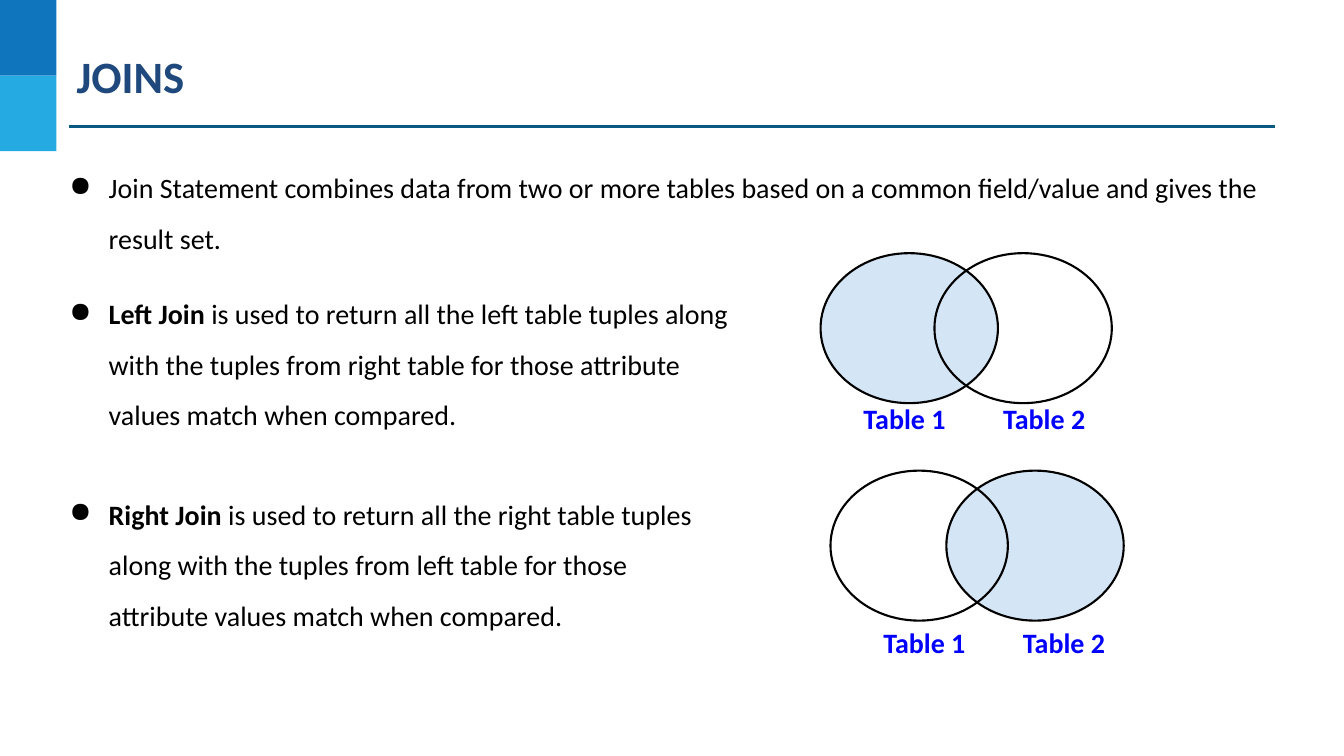
import pptx
import pptx.util
import pptx.dml.color
import pptx.enum.shapes
import pptx.enum.text
import pptx.oxml.ns
import lxml.etree

Cm = pptx.util.Cm
Pt = pptx.util.Pt
SHAPE = pptx.enum.shapes.MSO_SHAPE

COLOURS = {
    "dark strip": "0F75BD",
    "light strip": "25AAE2",
    "rule": "095A82",
    "title": "1F497D",
    "text": "000000",
    "label": "0000FF",
    "set": "D4E5F5",
}

BULLETS = [
    ((1.22, 3.63, 30.89, 2.64), "",
     "Join Statement combines data from two or more tables based on a common "
     "field/value and gives the result set."),
    ((1.22, 6.81, 17.63, 3.94), "Left Join",
     " is used to return all the left table tuples along with the tuples from "
     "right table for those attribute values match when compared."),
    ((1.22, 11.86, 16.89, 3.94), "Right Join",
     " is used to return all the right table tuples along with the tuples from "
     "left table for those attribute values match when compared."),
]

VENNS = [
    ((20.68, 6.38, 7.34, 3.78), 0, (0.38, 3.48)),
    ((20.93, 11.86, 7.39, 3.78), 1, (0.63, 3.66)),
]


def colour(name):
    return pptx.dml.color.RGBColor.from_string(COLOURS[name])


def apply_format(target, values):
    for name, value in values.items():
        setattr(target, name, value)


def add_element(parent, tag, **attributes):
    name = pptx.oxml.ns.qn(tag)
    return lxml.etree.SubElement(parent, name, attributes)


def format_frame(frame, inset):
    apply_format(frame, {
        "word_wrap": True,
        "auto_size": pptx.enum.text.MSO_AUTO_SIZE.NONE,
        "vertical_anchor": pptx.enum.text.MSO_ANCHOR.TOP,
        "margin_left": Cm(inset),
        "margin_right": Cm(inset),
        "margin_top": Cm(inset),
        "margin_bottom": Cm(inset),
    })


def add_span(para, text, size, colour_name, bold):
    span = para.add_run()
    span.text = text
    apply_format(span.font, {"name": "Calibri", "size": Pt(size), "bold": bold})
    span.font.color.rgb = colour(colour_name)


def add_text_box(page, box):
    text_box = page.shapes.add_textbox(*map(Cm, box))
    format_frame(text_box.text_frame, 0.25)
    return text_box.text_frame


def add_plain_shape(page, kind, box, fill=None, line=None):
    shape = page.shapes.add_shape(kind, *map(Cm, box))
    shape.shadow.inherit = False
    if fill:
        shape.fill.solid()
        shape.fill.fore_color.rgb = colour(fill)
    else:
        shape.fill.background()
    if line:
        shape.line.color.rgb = colour(line)
        shape.line.width = Pt(1.5)
    else:
        shape.line.fill.background()


def add_header(page, box):
    left, top, width, height = box
    strip_width, strip_height = 1.42, height / 2
    for row, name in enumerate(("dark strip", "light strip")):
        strip = (left, top + row * strip_height, strip_width, strip_height)
        add_plain_shape(page, SHAPE.RECTANGLE, strip, name)

    rule_y = top + 3.18
    rule = page.shapes.add_connector(
        pptx.enum.shapes.MSO_CONNECTOR.STRAIGHT,
        Cm(left + 1.73), Cm(rule_y), Cm(left + width - 1.74), Cm(rule_y))
    rule.line.color.rgb = colour("rule")
    rule.line.width = Pt(2.25)
    add_element(rule._element.spPr, "a:effectLst")

    title = page.shapes.title
    apply_format(title, {
        "left": Cm(left + 1.88),
        "top": Cm(top + 1.17),
        "width": Cm(30.4),
        "height": Cm(1.47),
    })
    format_frame(title.text_frame, 0.05)
    para = title.text_frame.paragraphs[0]
    para.alignment = pptx.enum.text.PP_ALIGN.LEFT
    add_span(para, "JOINS", 32, "title", True)


def add_bullet(page, box, term, text):
    para = add_text_box(page, box).paragraphs[0]
    para.line_spacing = 1.5
    properties = para._p.get_or_add_pPr()
    properties.set("marL", str(Cm(1.27)))
    properties.set("indent", str(Cm(-0.99)))
    bullet_colour = add_element(properties, "a:buClr")
    add_element(bullet_colour, "a:srgbClr", val=COLOURS["text"])
    add_element(properties, "a:buChar", char="●")
    if term:
        add_span(para, term, 20, "text", True)
    add_span(para, text, 20, "text", False)


def add_venn(page, box, filled_side, label_offset):
    left, top, width, height = box
    circle_width = 4.47
    lefts = (left, left + width - circle_width)
    for side, fill in ((filled_side, "set"), (1 - filled_side, None)):
        circle = (lefts[side], top, circle_width, height)
        add_plain_shape(page, SHAPE.OVAL, circle, fill, "text")

    across, down = label_offset
    frame = add_text_box(page, (left + across, top + down, 8.4, 1.37))
    frame.margin_left = Cm(0.7)
    para = frame.paragraphs[0]
    tabs = add_element(para._p.get_or_add_pPr(), "a:tabLst")
    add_element(tabs, "a:tab", pos=str(Cm(3.52)), algn="l")
    add_span(para, "Table 1\tTable 2", 20, "label", True)


def add_joins_page(deck):
    page = deck.slides.add_slide(deck.slide_layouts[5])
    add_header(page, (0, 0, 33.87, 3.81))
    for box, term, text in BULLETS:
        add_bullet(page, box, term, text)
    for box, filled_side, label_offset in VENNS:
        add_venn(page, box, filled_side, label_offset)


def main():
    deck = pptx.Presentation()
    apply_format(deck, {"slide_width": Cm(33.87), "slide_height": Cm(19.05)})
    add_joins_page(deck)
    deck.save("out.pptx")


if __name__ == "__main__":
    main()
